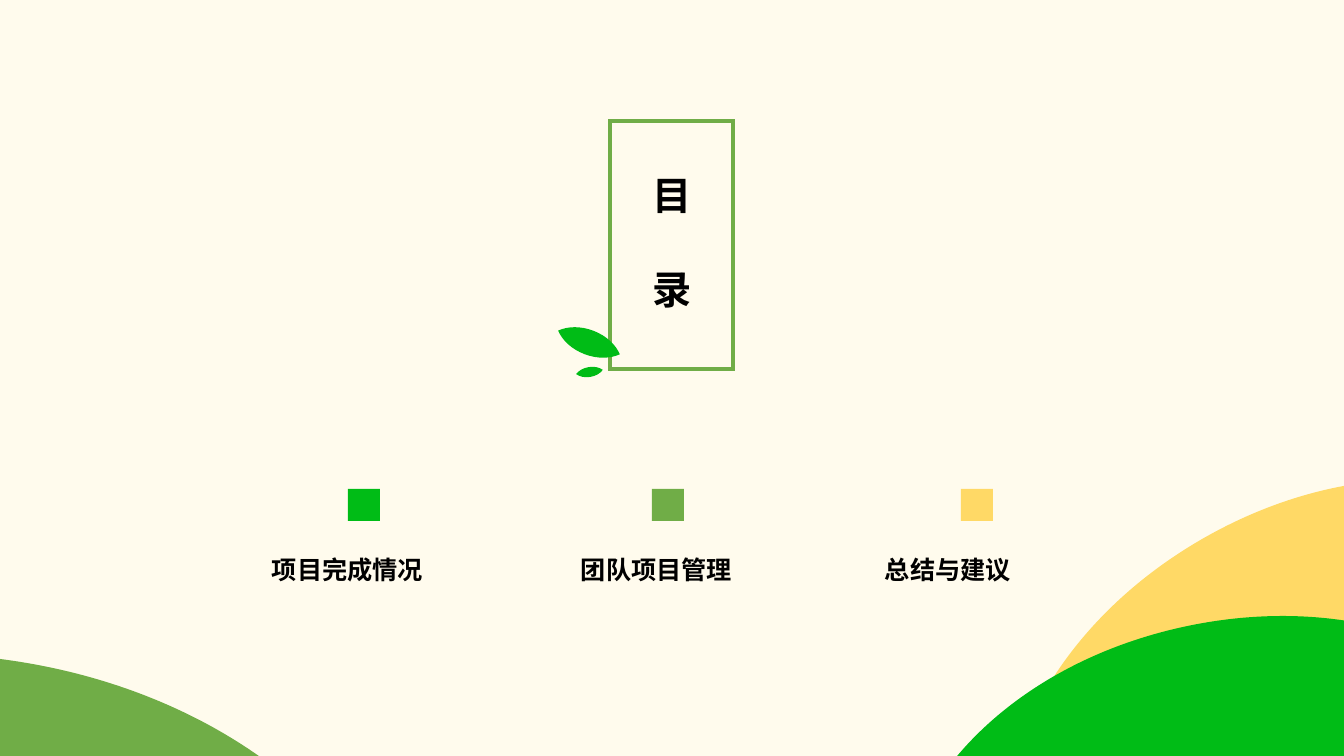
from lxml import etree
from pptx import Presentation
from pptx import util as u
from pptx.dml.color import RGBColor
from pptx.enum import shapes, text
from pptx.oxml.ns import qn

PX = 914400 / 100.8  # EMU per px
FONT = "Noto Sans CJK SC"
C = {"cream": "FFFBED", "green": "00BC16", "olive": "70AD47",
     "yellow": "FFD966", "black": "000000"}

# Square x, square colour, label x, label
SECTIONS = [
    (348, "green", 262, "项目完成情况"),
    (652, "olive", 571, "团队项目管理"),
    (961, "yellow", 875, "总结与建议"),
]
# x, y, width, height, rotation, colour
TITLE_LEAVES = [
    (556, 330, 66, 25, 21, "green"),
    (576, 367, 27, 10, 351, "green"),
]
CORNER_LEAVES = [
    (974, 525, 562, 213, 330, "yellow"),
    (927, 624, 562, 213, 348, "green"),
    (-373, 660, 740, 280, 9, "olive"),
]
# Four curves from the top clockwise, each two handles and an end,
# with the tips at (-1, 0) and (1, 0)
LEAF_CURVES = [
    [(0.42, -1), (0.78, -0.6), (1, 0)],
    [(0.78, 0.6), (0.42, 1), (0, 1)],
    [(-0.42, 1), (-0.78, 0.6), (-1, 0)],
    [(-0.78, -0.6), (-0.42, -1), (0, -1)],
]


def px(n):
    return u.Emu(round(n * PX))


def rgb(name):
    return RGBColor.from_string(C[name])


def paint(sp, fill=None, line=None, width=3):
    sp.shadow.inherit = False
    if fill:
        sp.fill.solid()
        sp.fill.fore_color.rgb = rgb(fill)
    else:
        sp.fill.background()
    if line:
        sp.line.color.rgb = rgb(line)
        sp.line.width = u.Pt(width)
        etree.SubElement(sp.line._get_or_add_ln(), qn("a:miter")).set("lim", "800000")
    else:
        sp.line.fill.background()


def add_rect(s, x, y, w, h, **colours):
    sp = s.shapes.add_shape(shapes.MSO_SHAPE.RECTANGLE, px(x), px(y), px(w), px(h))
    paint(sp, **colours)


def add_leaf(s, x, y, w, h, rotation, colour):
    """Draw a diamond and bend its four sides into a leaf."""
    def place(a, b):
        return px(x + w / 2 * (1 + a)), px(y + h / 2 * (1 + b))

    fb = s.shapes.build_freeform(*place(0, -1))
    fb.add_line_segments([place(*curve[-1]) for curve in LEAF_CURVES], close=True)
    sp = fb.convert_to_shape()
    for side, curve in zip(list(sp._element.iter(qn("a:lnTo"))), LEAF_CURVES):
        side.tag = qn("a:cubicBezTo")
        side.clear()
        for handle in curve:
            left, top = place(*handle)
            pt = etree.SubElement(side, qn("a:pt"))
            pt.set("x", str(left - sp.left))
            pt.set("y", str(top - sp.top))
    sp.rotation = rotation
    paint(sp, fill=colour)


def add_text(s, x, y, w, h, lines, size, gap=0, spacing=0, **frame):
    """Place one paragraph per line; gap is the space between them in points."""
    tf = s.shapes.add_textbox(px(x), px(y), px(w), px(h)).text_frame
    for key, value in {"word_wrap": True, **frame}.items():
        setattr(tf, key, value)
    for i, line in enumerate(lines):
        p = tf.add_paragraph() if i else tf.paragraphs[0]
        p.alignment = text.PP_ALIGN.LEFT
        p.space_before = u.Pt(gap if i else 0)
        r = p.add_run()
        r.text = line
        for key, value in {"name": FONT, "size": u.Pt(size), "bold": True}.items():
            setattr(r.font, key, value)
        r.font.color.rgb = rgb("black")
        rPr = r.font._element
        etree.SubElement(rPr, qn("a:ea")).set("typeface", FONT)
        if spacing:
            rPr.set("spc", str(spacing * 100))


def main():
    prs = Presentation()
    prs.slide_width, prs.slide_height = px(1344), px(756)
    s = prs.slides.add_slide(prs.slide_layouts[6])
    s.background.fill.solid()
    s.background.fill.fore_color.rgb = rgb("cream")

    add_text(s, 642, 168, 71, 148, "目录", 28, gap=34, spacing=2,
             vertical_anchor=text.MSO_ANCHOR.MIDDLE,
             margin_left=px(11), margin_right=px(8))
    add_rect(s, 610, 121, 123, 248, line="olive")
    for leaf in TITLE_LEAVES:
        add_leaf(s, *leaf)
    for square_x, colour, label_x, label in SECTIONS:
        add_rect(s, square_x, 489, 32, 32, fill=colour)
        add_text(s, label_x, 549, 206, 40, [label], 18)
    for leaf in CORNER_LEAVES:
        add_leaf(s, *leaf)
    prs.save("out.pptx")


if __name__ == "__main__":
    main()
